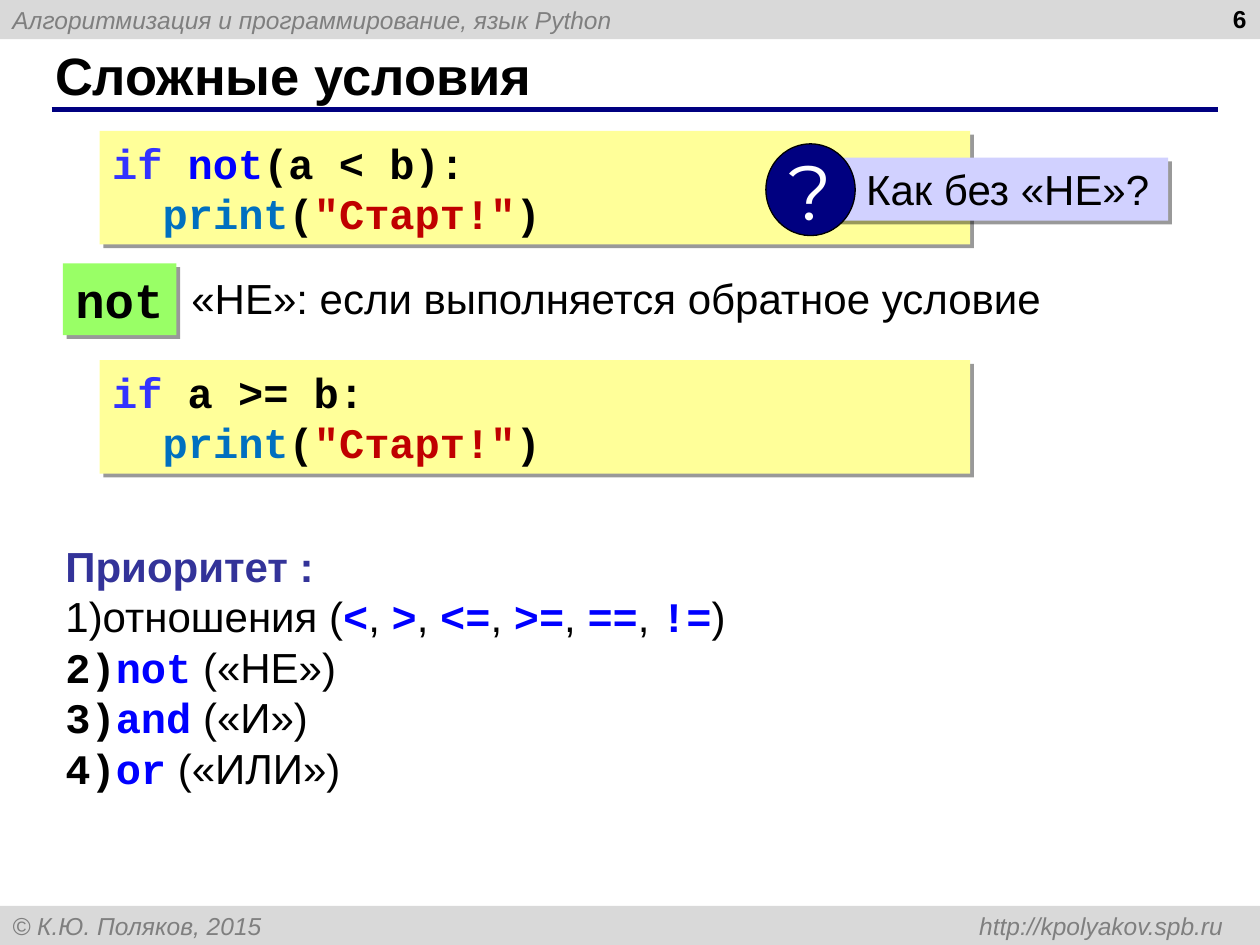
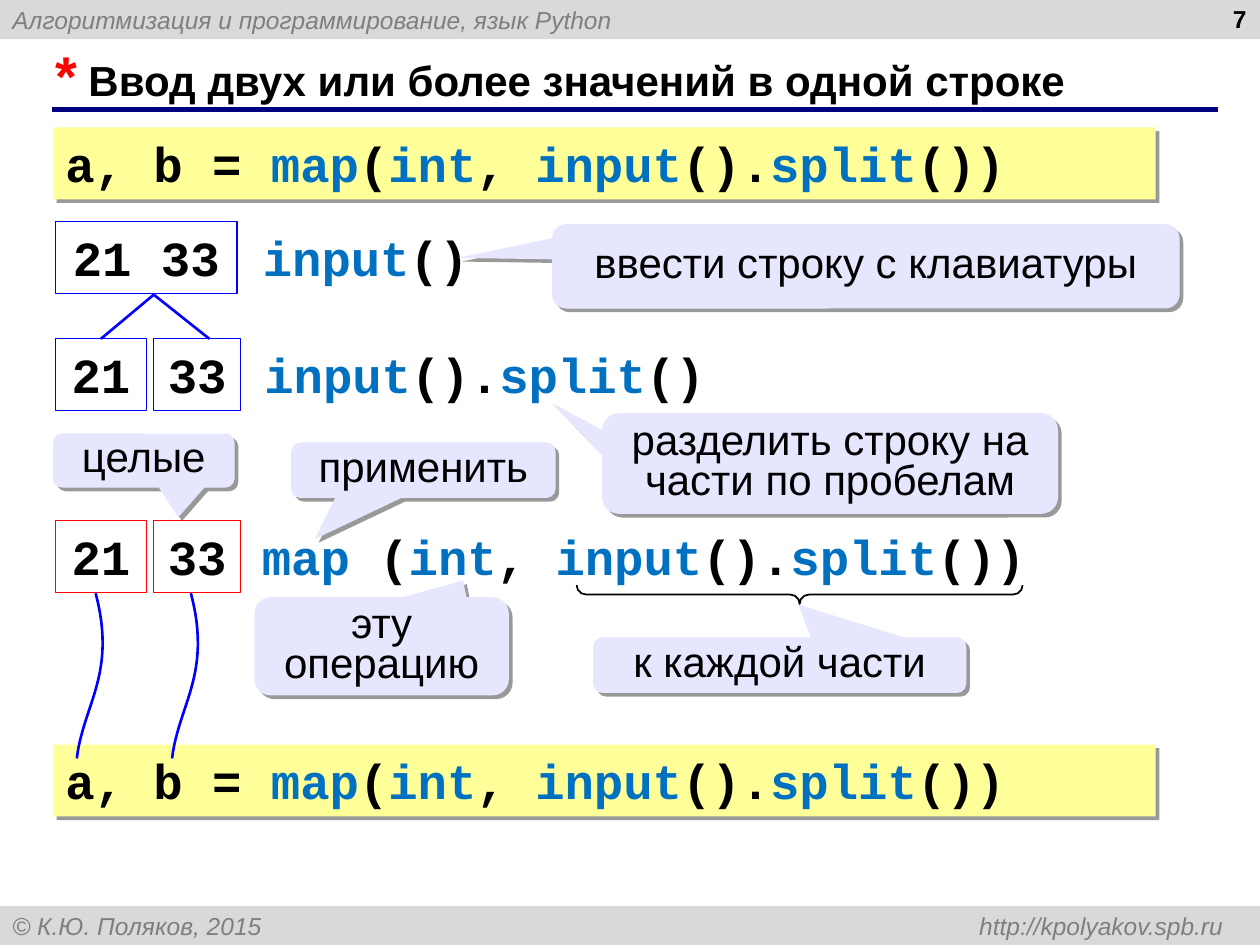
"""Builds two slides on compound conditions and one-line input in Python."""
from lxml import etree
from pptx import Presentation
from pptx import util as u
from pptx.dml.color import RGBColor
from pptx.enum import shapes, text
from pptx.oxml import ns

HEX = dict(band="D9D9D9", muted="7F7F7F", navy="000080", black="000000", white="FFFFFF",
           code="FFFF99", green="99FF66", question="D1D1FF", callout="E6E6FF", heading="333399",
           key="3333FF", blue="0000FF", call="0070C0", string="C00000", red="FF0000")
SANS, MONO = "Arial", "Courier New"
SLIDE_W, SLIDE_H, BAND_H = 25.4, 19.05, 0.79

COURSE = "Алгоритмизация и программирование, язык Python"
FOOTER = "© К.Ю. Поляков, 2015\thttp://kpolyakov.spb.ru"
FOOTER_TAB = 24.41
TITLES = {
    6: [("Сложные условия", dict(size=30))],
    7: [("*", dict(size=32, color="red")),
        (" Ввод двух или более значений в одной строке", dict(size=24))],
}

PRINT_START = [("print", "call"), "(", ("\"Cтарт!\"", "string"), ")"]
CONDITIONS = [
    (2.64, [[("if ", "key"), ("not", "blue"), "(a < b):"], PRINT_START]),
    (7.26, [[("if", "key"), " a >= b:"], PRINT_START]),
]
RELATIONS = ["<", ">", "<=", ">=", "==", "!="]
OPERATORS = [("not", "НЕ"), ("and", "И"), ("or", "ИЛИ")]

INPUT = [("input", "call"), "()"]
SPLIT = INPUT + [".", ("split", "call"), "()"]
MAP_ARGS = ["(", ("int", "call"), ", "] + SPLIT + [")"]
ASSIGNMENT = ["a, b = ", ("map", "call")] + MAP_ARGS
ASSIGNMENT_TOPS = [2.57, 15.01]
ROW_H = 1.45
STEPS = [
    (5.05, 4.47, 4.65, INPUT),
    (5.08, 6.83, 9.98, SPLIT),
    (5.03, 10.49, 18.75, [("map", "call"), " "] + MAP_ARGS),
]
VALUES = [
    (1.12, 4.47, 3.66, "21 33", "blue"),
    (1.12, 6.83, 1.83, "21", "blue"),
    (3.1, 6.83, 1.75, "33", "blue"),
    (1.12, 10.49, 1.83, "21", "red"),
    (3.1, 10.49, 1.75, "33", "red"),
]
CALLOUTS = [
    ((11.13, 4.52, 12.65, 1.7), (-0.65, -0.1), "ввести строку с клавиатуры"),
    ((12.14, 8.33, 9.19, 2.03), (-0.61, -0.6), "разделить строку на части по пробелам"),
    ((1.07, 8.74, 3.66, 1.09), (0.19, 1.05), "целые"),
    ((5.87, 8.92, 5.33, 1.12), (-0.41, 1.24), "применить"),
    ((5.13, 12.04, 5.13, 1.98), (0.32, -0.67), "эту операцию"),
    ((11.96, 12.85, 7.52, 1.12), (0.05, -1.09), "к каждой части"),
]
FORK, FORK_RIGHT = (3.1, 5.94), (4.22, 6.83)
THREAD = [(1.93, 11.96), (2.36, 13.59), (1.68, 14.2), (1.55, 15.29)]
THREAD_SHIFTS = [0, 1.92]


def rgb(name):
    return RGBColor.from_string(HEX[name])


def add_xml(parent, tag, **attributes):
    return etree.SubElement(parent, ns.qn(tag), attributes)


def write(shape, lines, size=24, font=SANS, color="black", bold=False, italic=False,
          align="LEFT", anchor="TOP", wrap=True, spacing=None):
    """Fill a shape with lines of runs; a run is a string, or a string with a colour or a format."""
    frame = shape.text_frame
    frame.word_wrap = wrap
    frame.vertical_anchor = getattr(text.MSO_ANCHOR, anchor)
    for index, line in enumerate(lines):
        paragraph = frame.paragraphs[0] if index == 0 else frame.add_paragraph()
        paragraph.alignment = getattr(text.PP_ALIGN, align)
        if spacing:
            paragraph.line_spacing = spacing
        for part in line:
            words, change = (part, {}) if isinstance(part, str) else part
            if isinstance(change, str):
                change = dict(color=change)
            look = dict(size=size, font=font, color=color, bold=bold) | change
            run = paragraph.add_run()
            run.text = words
            run.font.size, run.font.name = u.Pt(look["size"]), look["font"]
            run.font.bold, run.font.italic = look["bold"], italic
            run.font.color.rgb = rgb(look["color"])
    return frame.paragraphs


def add_box(slide, place, fill=None, line=None, kind="RECTANGLE", width=0.75, shadow=False):
    box = slide.shapes.add_shape(getattr(shapes.MSO_SHAPE, kind), *map(u.Cm, place))
    paint(box, fill, line, width)
    if shadow:
        effects = box._element.spPr.find(ns.qn("a:effectLst"))
        cast = add_xml(effects, "a:outerShdw", blurRad="0", dist=str(u.Pt(3)),
                       dir="2700000", algn="ctr", rotWithShape="0")
        add_xml(add_xml(cast, "a:srgbClr", val=HEX["black"]), "a:alpha", val="40000")
    return box


def paint(shape, fill, line, width):
    shape.shadow.inherit = False
    if fill:
        shape.fill.solid()
        shape.fill.fore_color.rgb = rgb(fill)
    else:
        shape.fill.background()
    if line:
        shape.line.color.rgb, shape.line.width = rgb(line), u.Pt(width)
    else:
        shape.line.fill.background()


def add_label(slide, place, lines, **look):
    return write(slide.shapes.add_textbox(*map(u.Cm, place)), lines, **look)


def add_line(slide, start, end, color, width):
    line = slide.shapes.add_connector(shapes.MSO_CONNECTOR.STRAIGHT, *map(u.Cm, start + end))
    line.line.color.rgb, line.line.width = rgb(color), u.Pt(width)
    add_xml(line._element.spPr, "a:effectLst")
    return line


def add_curve(slide, controls, shift, color, width, steps=24):
    points = []
    for step in range(steps + 1):
        t = step / steps
        weights = ((1 - t) ** 3, 3 * t * (1 - t) ** 2, 3 * t * t * (1 - t), t ** 3)
        x, y = (sum(w * c[axis] for w, c in zip(weights, controls)) for axis in (0, 1))
        points.append((u.Cm(x + shift), u.Cm(y)))
    builder = slide.shapes.build_freeform(*points[0])
    builder.add_line_segments(points[1:], close=False)
    paint(builder.convert_to_shape(), None, color, width)


def add_page(deck, number):
    slide = deck.slides.add_slide(deck.slide_layouts[6])
    for top, words in [(0, COURSE), (SLIDE_H - BAND_H, FOOTER)]:
        band = add_box(slide, (0, top, SLIDE_W, BAND_H), "band")
        lines = write(band, [[words]], size=14, color="muted", italic=True, anchor="MIDDLE")
    tabs = add_xml(lines[0]._p.get_or_add_pPr(), "a:tabLst")
    add_xml(tabs, "a:tab", pos=str(u.Cm(FOOTER_TAB)), algn="r")
    add_line(slide, (1.04, 2.21), (24.56, 2.21), "navy", 3)
    add_label(slide, (0.86, 0.84, 23.27, 1.32), [TITLES[number]], bold=True, anchor="MIDDLE")
    add_label(slide, (19.46, -0.05, 5.92, 1.32), [[str(number)]], size=14, bold=True,
              align="RIGHT")
    return slide


def add_conditions(slide):
    for top, lines in CONDITIONS:
        block = add_box(slide, (2.01, top, 17.55, 2.29), "code", shadow=True)
        body = write(block, lines, font=MONO, bold=True, anchor="MIDDLE")[1]
        body._p.get_or_add_pPr().set("marL", str(u.Cm(1.02)))

    operator = add_box(slide, (1.27, 5.31, 2.29, ROW_H), "green", shadow=True)
    write(operator, [["not"]], size=28, font=MONO, bold=True, wrap=False)
    add_label(slide, (3.61, 5.36, 17.7, 1.27), [["«НЕ»: если выполняется обратное условие"]],
              wrap=False)

    question = add_box(slide, (16.74, 3.18, 6.81, 1.27), "question", shadow=True)
    write(question, [["Как без «НЕ»?"]])
    question.text_frame.margin_left = u.Cm(0.72)
    mark = add_box(slide, (15.44, 2.9, 1.8, 1.85), "navy", "black", "OVAL")
    write(mark, [["?"]], size=44, font="Montserrat", color="white", align="CENTER",
          anchor="MIDDLE", wrap=False)

    symbol = dict(font=MONO, color="blue", bold=True)
    relations = ["отношения ("]
    for index, sign in enumerate(RELATIONS):
        relations += [", "] * (index > 0) + [(sign, symbol)]
    ranks = [relations + [")"]] + [[(name, symbol), f" («{word}»)"] for name, word in OPERATORS]
    heading = [("Приоритет :", dict(color="heading", bold=True))]
    for rank in add_label(slide, (1.07, 10.77, 16.76, 5.33), [heading] + ranks)[1:]:
        properties = rank._p.get_or_add_pPr()
        properties.set("marL", "0")
        properties.set("indent", "0")
        add_xml(add_xml(properties, "a:buClr"), "a:srgbClr", val=HEX["black"])
        add_xml(properties, "a:buAutoNum", type="arabicParenR")


def add_input_steps(slide):
    code = dict(size=28, font=MONO, bold=True)
    for top in ASSIGNMENT_TOPS:
        bar = add_box(slide, (1.07, top, 22.23, ROW_H), "code", shadow=True)
        write(bar, [ASSIGNMENT], **code)
    for left, top, width, call in STEPS:
        add_label(slide, (left, top, width, ROW_H), [call], **code)
    cells = []
    for left, top, width, value, color in VALUES:
        cells.append(add_box(slide, (left, top, width, ROW_H), line=color))
        write(cells[-1], [[value]], align="CENTER", wrap=False, **code)

    for place, tip, words in CALLOUTS:
        callout = add_box(slide, place, "callout", kind="ROUNDED_RECTANGULAR_CALLOUT", shadow=True)
        callout.adjustments[0], callout.adjustments[1] = tip
        write(callout, [[words]], align="CENTER", anchor="MIDDLE", spacing=0.8)

    brace = add_box(slide, (15.93, 7.49, 0.38, 8.99), line="black", kind="LEFT_BRACE", width=1)
    brace.rotation = 270
    brace.adjustments[0] = 0.5
    for shift in THREAD_SHIFTS:
        add_curve(slide, THREAD, shift, "blue", 1.5)
    add_line(slide, FORK, FORK_RIGHT, "blue", 1.5)
    add_line(slide, FORK, (2.03, 6.83), "blue", 1.5).end_connect(cells[1], 0)


def main():
    deck = Presentation()
    deck.slide_width, deck.slide_height = u.Cm(SLIDE_W), u.Cm(SLIDE_H)
    add_conditions(add_page(deck, 6))
    add_input_steps(add_page(deck, 7))
    deck.save("out.pptx")


if __name__ == "__main__":
    main()
